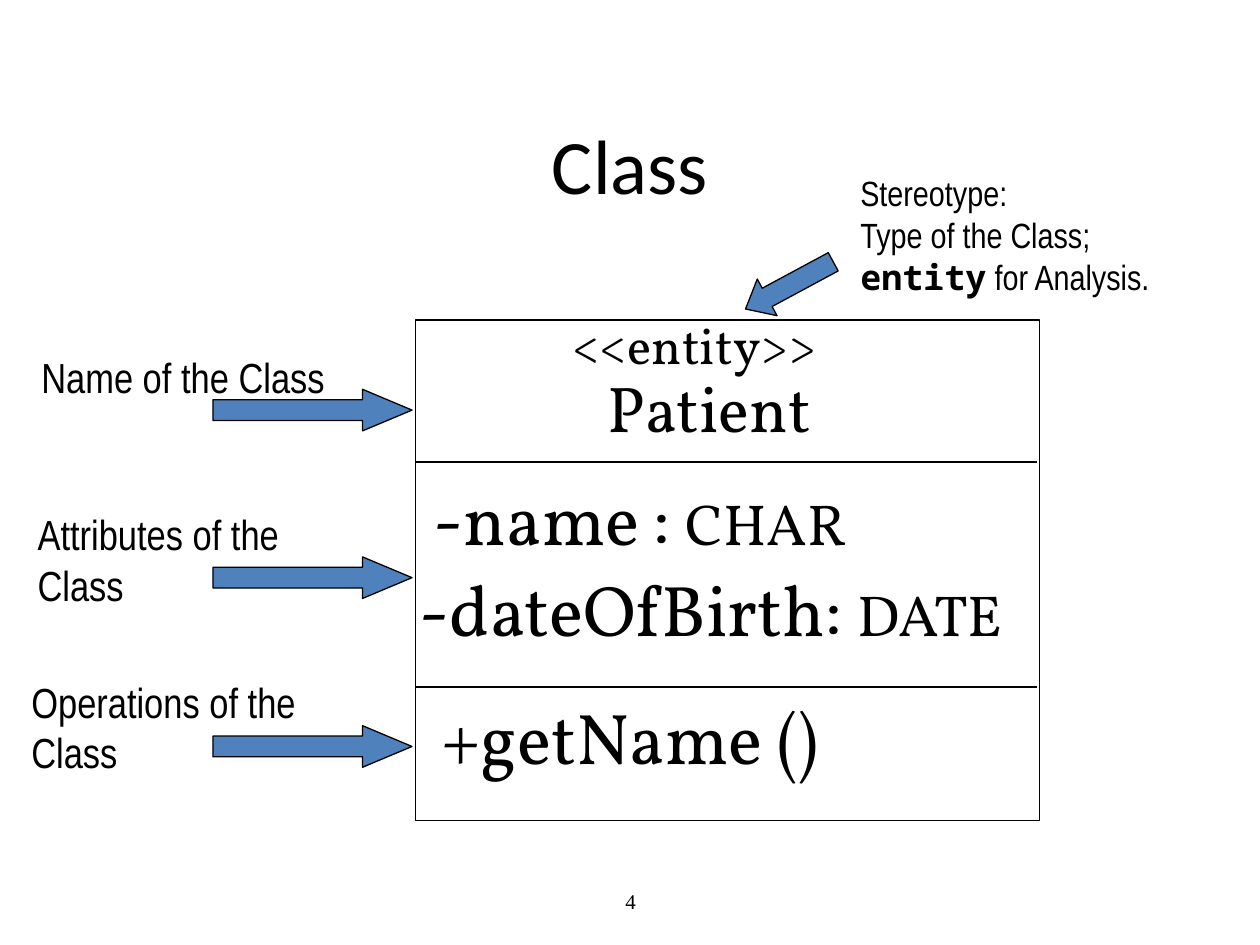
from dataclasses import dataclass

from lxml import etree
from pptx import Presentation
from pptx import util as u
from pptx.dml.color import RGBColor
from pptx.enum import shapes, text
from pptx.oxml.ns import qn


@dataclass(frozen=True)
class Theme:
    """Colours, fonts and type sizes of the slide."""
    ink: RGBColor = RGBColor(0, 0, 0)
    arrow: RGBColor = RGBColor(0x4F, 0x81, 0xBD)
    heading: str = "Calibri"
    member: str = "Vollkorn"
    label: str = "Arial Narrow"
    code: str = "Noto Sans Mono"
    footer: str = "Times New Roman"
    title_size: int = 44
    member_size: int = 41
    name_size: int = 37
    type_size: int = 33
    stereotype_size: int = 29
    label_size: int = 24
    note_size: int = 20
    footer_size: int = 12


class Painter:
    """Draws each kind of element on the current slide."""

    def __init__(self, slide, theme):
        """Keep the slide and the theme."""
        self.slide = slide
        self.theme = theme

    def words(self, place, lines, margins=(0, 0), align=text.PP_ALIGN.LEFT,
              wrap=False, anchor=text.MSO_ANCHOR.TOP):
        """Add a text box; each line is a list of (text, font, size, bold) runs."""
        box = self.slide.shapes.add_textbox(*map(u.Inches, place))
        frame = box.text_frame
        frame.word_wrap = wrap
        frame.auto_size = (text.MSO_AUTO_SIZE.NONE if wrap
                           else text.MSO_AUTO_SIZE.SHAPE_TO_FIT_TEXT)
        frame.vertical_anchor = anchor
        frame.margin_left = frame.margin_right = u.Inches(margins[0])
        frame.margin_top = frame.margin_bottom = u.Inches(margins[1])
        for index, runs in enumerate(lines):
            para = frame.add_paragraph() if index else frame.paragraphs[0]
            para.alignment = align
            for content, font, size, bold in runs:
                span = para.add_run()
                span.text = content
                span.font.name = font
                span.font.size = u.Pt(size)
                span.font.bold = bold
                span.font.color.rgb = self.theme.ink

    def member(self, place, *runs, align=text.PP_ALIGN.LEFT):
        """Add one line inside the class box from (text, size) runs."""
        line = [(content, self.theme.member, size, False) for content, size in runs]
        self.words(place, [line], align=align)

    def label(self, place, *lines):
        """Add a label beside the class box."""
        theme = self.theme
        self.words(place, [[(line, theme.label, theme.label_size, False)]
                           for line in lines], (0.1, 0.05))

    def centred(self, place, content, font, size):
        """Add a wrapped line centred both ways."""
        self.words(place, [[(content, font, size, False)]], (0.1, 0.05),
                   text.PP_ALIGN.CENTER, True, text.MSO_ANCHOR.MIDDLE)

    def outline(self, place):
        """Add the unfilled frame of the class."""
        frame = self.slide.shapes.add_shape(
            shapes.MSO_SHAPE.RECTANGLE, *map(u.Inches, place))
        frame.shadow.inherit = False
        frame.fill.background()
        frame.line.color.rgb = self.theme.ink
        frame.line.width = u.Pt(0)

    def divider(self, left, right, top):
        """Add a horizontal line between compartments."""
        line = self.slide.shapes.add_connector(
            shapes.MSO_CONNECTOR.STRAIGHT,
            *map(u.Inches, (left, top, right, top)))
        line.line.color.rgb = self.theme.ink
        line.line.width = u.Pt(1.13)
        etree.SubElement(line._element.spPr, qn("a:effectLst"))

    def arrow(self, place, head, rotation=0):
        """Add a block arrow with the given head length ratio."""
        arrow = self.slide.shapes.add_shape(
            shapes.MSO_SHAPE.RIGHT_ARROW, *map(u.Inches, place))
        arrow.shadow.inherit = False
        arrow.adjustments[0] = 0.5
        arrow.adjustments[1] = head
        arrow.rotation = rotation
        arrow.fill.solid()
        arrow.fill.fore_color.rgb = self.theme.arrow
        arrow.line.color.rgb = self.theme.ink
        arrow.line.width = u.Pt(0.75)


def main():
    """Build the class diagram slide."""
    deck = Presentation()
    deck.slide_width, deck.slide_height = u.Inches(10), u.Inches(7.5)
    theme = Theme()
    page = Painter(deck.slides.add_slide(deck.slide_layouts[6]), theme)

    page.outline((3.3, 2.54, 4.95, 3.97))
    page.member((4.82, 2.92, 1.62, 0.63), ("Patient", theme.name_size),
                align=text.PP_ALIGN.CENTER)
    for top in (3.67, 5.45):
        page.divider(3.3, 8.23, top)
    page.member((3.44, 3.76, 3.41, 0.69),
                ("-name : ", theme.member_size), ("CHAR", theme.type_size))
    page.member((3.33, 4.48, 4.77, 0.69),
                ("-dateOfBirth: ", theme.member_size), ("DATE", theme.type_size))
    page.member((3.5, 5.5, 3.18, 0.68), ("+getName ()", theme.member_size))

    for top in (3.09, 4.42, 5.76):
        page.arrow((1.69, top, 1.58, 0.33), 1.19)
    page.label((0.23, 2.74, 2.94, 0.5), "Name of the Class")
    page.label((0.2, 3.99, 2.65, 0.91), "Attributes of the", "Class")
    page.label((0.15, 5.32, 2.88, 0.91), "Operations of the", "Class")

    page.member((4.54, 2.49, 2.03, 0.49), ("<<entity>>", theme.stereotype_size))
    page.arrow((5.87, 2.1, 0.79, 0.33), 0.59, 151.7)
    page.words((6.73, 1.31, 2.8, 1.11), [
        [("Stereotype:", theme.label, theme.note_size, False)],
        [("Type of the Class;", theme.label, theme.note_size, False)],
        [("entity", theme.code, theme.note_size, True),
         (" for Analysis.", theme.label, theme.note_size, False)],
    ], (0.1, 0.05))

    page.centred((3.42, 6.95, 3.17, 0.4), "4", theme.footer, theme.footer_size)
    page.centred((0.5, 0.67, 9, 1.25), "Class", theme.heading, theme.title_size)
    deck.save("out.pptx")


if __name__ == "__main__":
    main()
